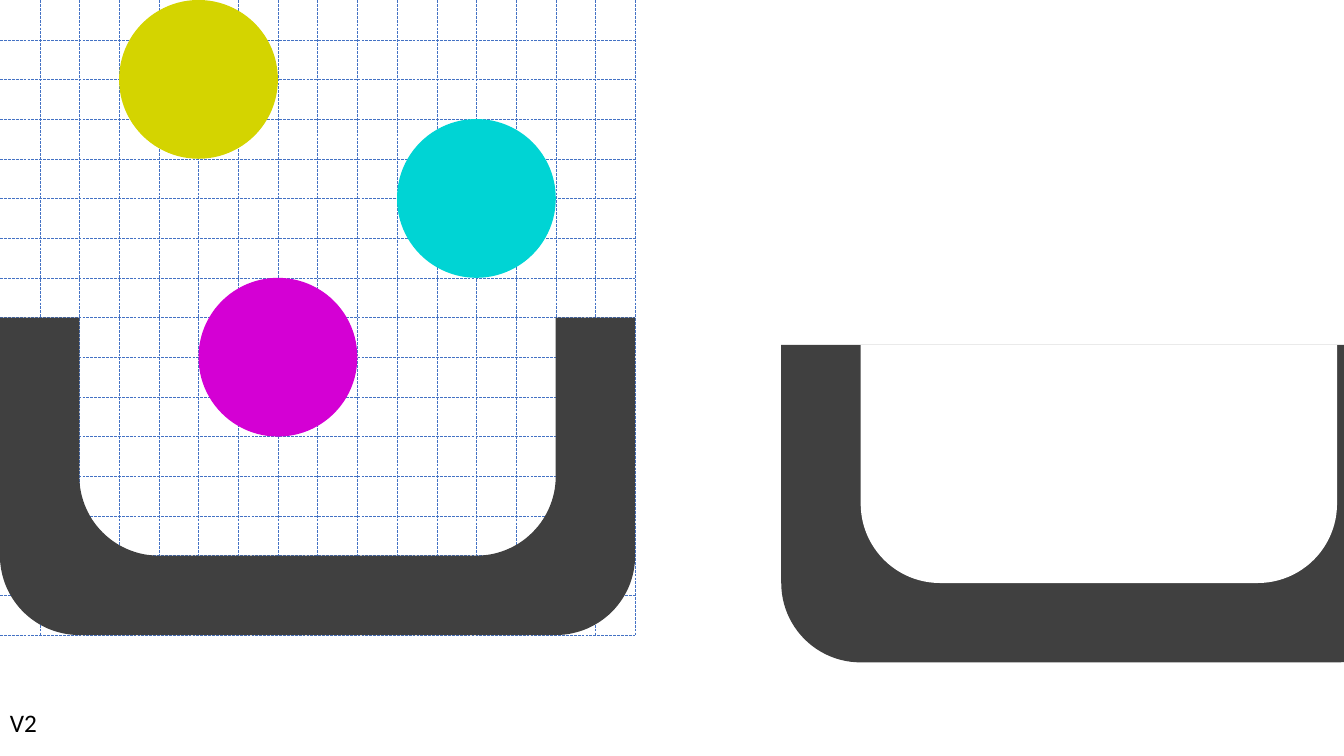
from math import cos, radians, sin

from lxml import etree
from pptx import Presentation
from pptx.dml.color import RGBColor
from pptx.enum.dml import MSO_LINE
from pptx.enum.shapes import MSO_CONNECTOR, MSO_SHAPE
from pptx.enum.text import MSO_AUTO_SIZE
from pptx.oxml.ns import qn
from pptx.util import Inches, Pt

STRAIGHT = MSO_CONNECTOR.STRAIGHT
LONG_DASH = MSO_LINE.LONG_DASH
OVAL = MSO_SHAPE.OVAL
ROUND_TOP = MSO_SHAPE.ROUND_2_SAME_RECTANGLE
FIT_SHAPE = MSO_AUTO_SIZE.SHAPE_TO_FIT_TEXT

COUNT = 16
CELL = 6.3 / COUNT
RADIUS = 2
ARC_STEP = 3
GRID_BLUE = "4472C4"
TRAY_GREY = "404040"
WHITE = "FFFFFF"
BALLS = [(3, 0, "D4D400"), (5, 7, "D400D4"), (10, 3, "00D4D4")]


def cells(n):
    return Inches(n * CELL)


def color(value):
    return RGBColor.from_string(value)


def paint(s, fill):
    s.shadow.inherit = False
    s.fill.solid()
    s.fill.fore_color.rgb = color(fill)
    s.line.fill.background()


def add_grid_line(shapes, x1, y1, x2, y2):
    s = shapes.add_connector(STRAIGHT, cells(x1), cells(y1), cells(x2), cells(y2))
    s.line.color.rgb = color(GRID_BLUE)
    s.line.width = Pt(0.25)
    s.line.dash_style = LONG_DASH
    etree.SubElement(s._element.spPr, qn("a:effectLst"))


def add_grid(slide):
    group = slide.shapes.add_group_shape()
    for n in range(1, COUNT + 1):
        add_grid_line(group.shapes, 0, n, COUNT, n)
    for n in range(1, COUNT + 1):
        add_grid_line(group.shapes, n, 0, n, COUNT)


def add_preset(slide, kind, col, row, width, height, fill):
    s = slide.shapes.add_shape(kind, cells(col), cells(row), cells(width), cells(height))
    paint(s, fill)
    return s


def add_cup(slide, col, row, width, height, fill):
    s = add_preset(slide, ROUND_TOP, col, row, width, height, fill)
    s.adjustments[0] = RADIUS / min(width, height)
    s._element.spPr.xfrm.set("flipV", "1")


def arc(col, row, start, end):
    step = ARC_STEP if end > start else -ARC_STEP
    return [(col + RADIUS * cos(radians(a)), row + RADIUS * sin(radians(a)))
            for a in range(start, end + step, step)]


def add_tray(slide):
    points = [(0, 8), (2, 8), *arc(4, 12, 180, 90), *arc(12, 12, 90, 0),
              (14, 8), (16, 8), *arc(14, 14, 0, 90), *arc(2, 14, 90, 180)]
    outline = [(cells(x), cells(y)) for x, y in points]
    builder = slide.shapes.build_freeform(*outline[0])
    builder.add_line_segments(outline[1:], close=True)
    paint(builder.convert_to_shape(), TRAY_GREY)


def add_label(slide, text, col, row, width, height):
    s = slide.shapes.add_textbox(cells(col), cells(row), cells(width), cells(height))
    tf = s.text_frame
    tf.word_wrap = False
    tf.auto_size = FIT_SHAPE
    r = tf.paragraphs[0].add_run()
    r.text = text
    r.font.name = "Calibri"
    r.font.size = Pt(18)
    r.font.color.rgb = color("000000")


def main():
    prs = Presentation()
    prs.slide_width = Inches(13.33)
    prs.slide_height = Inches(7.5)
    slide = prs.slides.add_slide(prs.slide_layouts[6])
    add_grid(slide)
    add_label(slide, "V2", 0, 17.7, 1.2, 1.02)
    add_tray(slide)
    for col, row, fill in BALLS:
        add_preset(slide, OVAL, col, row, 4, 4, fill)
    col, row = 19.68, 8.69
    add_cup(slide, col, row, 16, 8, TRAY_GREY)
    add_cup(slide, col + 2, row, 12, 6, WHITE)
    prs.save("out.pptx")


if __name__ == "__main__":
    main()
